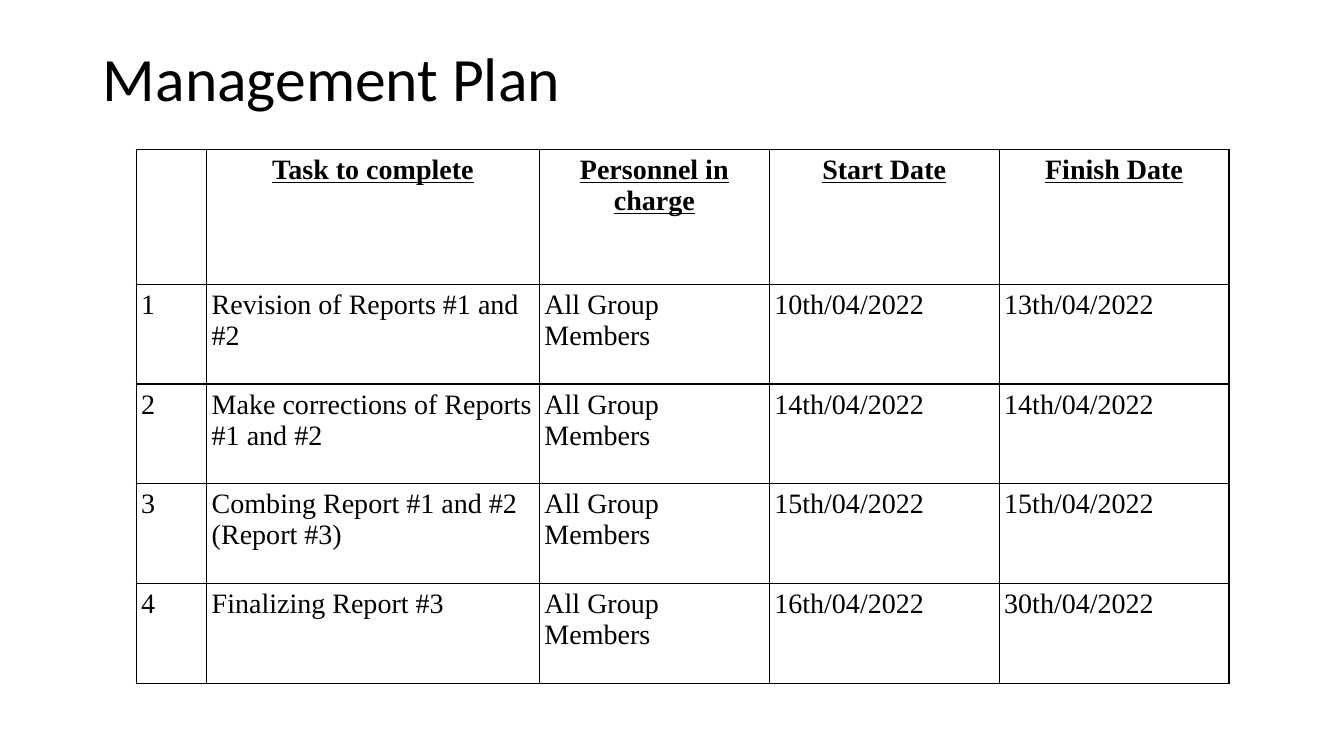
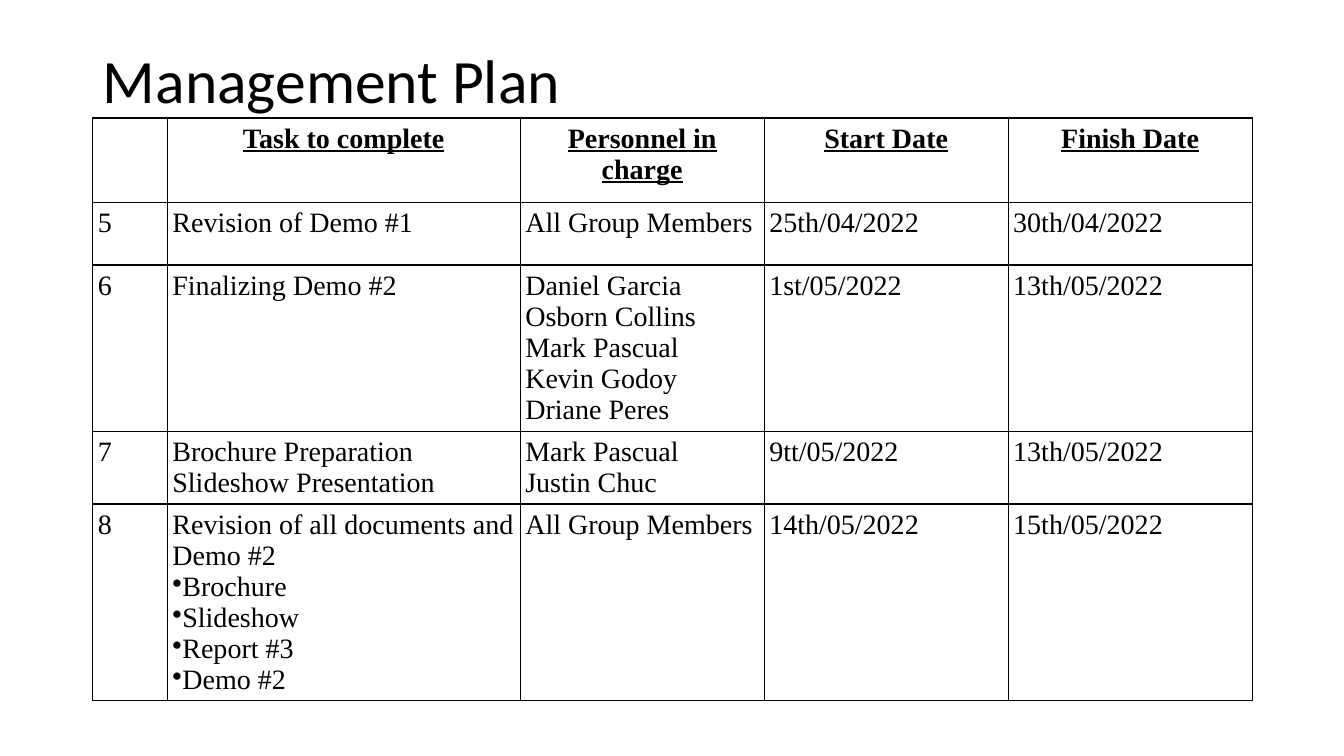
from lxml import etree
from pptx import Presentation
from pptx.dml.color import RGBColor
from pptx.enum.text import MSO_ANCHOR, PP_ALIGN
from pptx.oxml.ns import qn
from pptx.util import Inches, Pt

BLACK = "000000"
TITLE_FONT, TABLE_FONT = "Calibri", "Times New Roman"
TITLE = "Management Plan"
HEADER = ("", "Task to complete", "Personnel in charge", "Start Date", "Finish Date")
ALL = "All Group Members"
BULLET = "•"

# A newline separates paragraphs; a leading bullet makes a list item.
SLIDES = [
    {
        "title_top": 0.08,
        "left": 1.35,
        "top": 1.48,
        "cols": (0.7, 3.3, 2.28, 2.28, 2.28),
        "row_heights": (1.34, 0.99, 0.99, 0.99, 0.99),
        "tasks": [
            ("1", "Revision of Reports #1 and #2", ALL, "10th/04/2022", "13th/04/2022"),
            ("2", "Make corrections of Reports #1 and #2", ALL, "14th/04/2022", "14th/04/2022"),
            ("3", "Combing Report #1 and #2 (Report #3)", ALL, "15th/04/2022", "15th/04/2022"),
            ("4", "Finalizing Report #3", ALL, "16th/04/2022", "30th/04/2022"),
        ],
    },
    {
        "title_top": 0.1,
        "left": 0.92,
        "top": 1.17,
        "cols": (0.74, 3.5, 2.42, 2.42, 2.42),
        "row_heights": (0.84, 0.62, 1.65, 0.72, 1.95),
        "tasks": [
            ("5", "Revision of Demo #1", ALL, "25th/04/2022", "30th/04/2022"),
            ("6", "Finalizing Demo #2",
             "Daniel Garcia\nOsborn Collins\nMark Pascual\nKevin Godoy\nDriane Peres",
             "1st/05/2022", "13th/05/2022"),
            ("7", "Brochure Preparation\nSlideshow Presentation",
             "Mark Pascual\nJustin Chuc", "9tt/05/2022", "13th/05/2022"),
            ("8", "Revision of all documents and Demo #2\n•Brochure\n•Slideshow\n•Report #3\n•Demo #2",
             ALL, "14th/05/2022", "15th/05/2022"),
        ],
    },
]


def rgb(color):
    return RGBColor.from_string(color)


def set_font(p, name, size, bold=False, underline=False):
    font = p.font
    font.name, font.size = name, Pt(size)
    font.bold, font.underline = bold, underline
    font.color.rgb = rgb(BLACK)


def add_title(s, top):
    title = s.shapes.title
    title.left, title.top = Inches(0.92), Inches(top)
    title.width, title.height = Inches(11.5), Inches(1.45)
    tf = title.text_frame
    tf.text = TITLE
    tf.vertical_anchor = MSO_ANCHOR.MIDDLE
    p = tf.paragraphs[0]
    p.alignment, p.line_spacing = PP_ALIGN.LEFT, 0.9
    set_font(p, TITLE_FONT, 44)


def add_bullet(p):
    pPr = p._p.get_or_add_pPr()
    pPr.set("marL", "0")
    pPr.set("indent", "0")
    # The bullet precedes the default run properties in the schema.
    bullet = etree.Element(qn("a:buChar"), char=BULLET)
    pPr.insert(len(pPr) - 1, bullet)


def add_borders(cell, color=BLACK, width=1):
    tcPr = cell._tc.get_or_add_tcPr()
    for i, side in enumerate("LRTB"):
        ln = etree.Element(qn(f"a:ln{side}"), w=str(Pt(width)))
        fill = etree.SubElement(ln, qn("a:solidFill"))
        etree.SubElement(fill, qn("a:srgbClr"), val=color)
        tcPr.insert(i, ln)


def fill_cell(cell, text, is_header):
    cell.fill.background()
    add_borders(cell)
    cell.margin_left = cell.margin_right = Inches(0.05)
    cell.margin_top = cell.margin_bottom = Inches(0.05)
    lines = text.split("\n")
    cell.text = "\n".join(line.lstrip(BULLET) for line in lines)
    for p, line in zip(cell.text_frame.paragraphs, lines):
        p.alignment = PP_ALIGN.CENTER if is_header else PP_ALIGN.LEFT
        set_font(p, TABLE_FONT, 20, is_header, is_header)
        if line.startswith(BULLET):
            add_bullet(p)


def add_task_table(s, plan):
    rows = [HEADER] + plan["tasks"]
    cols, heights = plan["cols"], plan["row_heights"]
    table = s.shapes.add_table(
        len(rows), len(cols), Inches(plan["left"]), Inches(plan["top"]),
        Inches(sum(cols)), Inches(sum(heights))).table
    table.first_row = table.horz_banding = False
    for column, width in zip(table.columns, cols):
        column.width = Inches(width)
    for r, (row, height) in enumerate(zip(rows, heights)):
        table.rows[r].height = Inches(height)
        for c, text in enumerate(row):
            fill_cell(table.cell(r, c), text, is_header=r == 0)


def main():
    prs = Presentation()
    prs.slide_width, prs.slide_height = Inches(13.33), Inches(7.5)
    title_only = prs.slide_layouts[5]
    for plan in SLIDES:
        s = prs.slides.add_slide(title_only)
        add_title(s, plan["title_top"])
        add_task_table(s, plan)
    prs.save("out.pptx")


if __name__ == "__main__":
    main()
